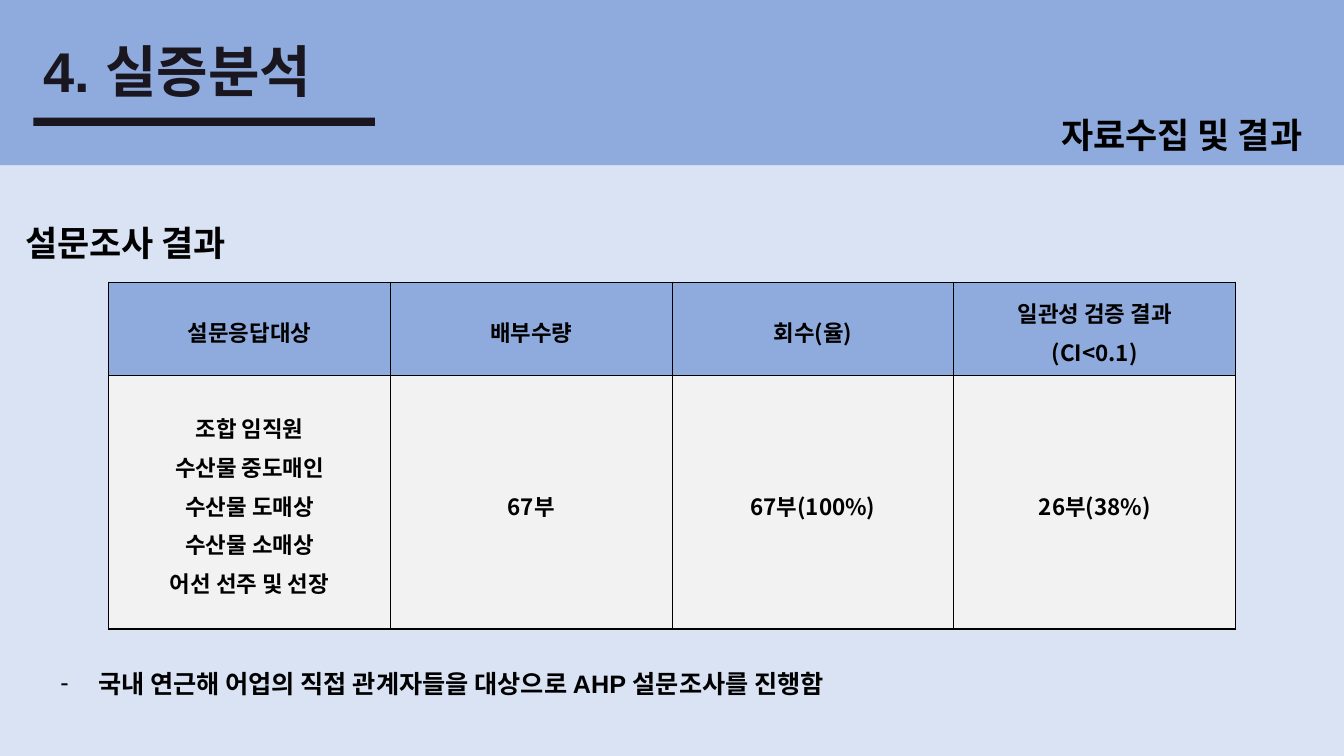
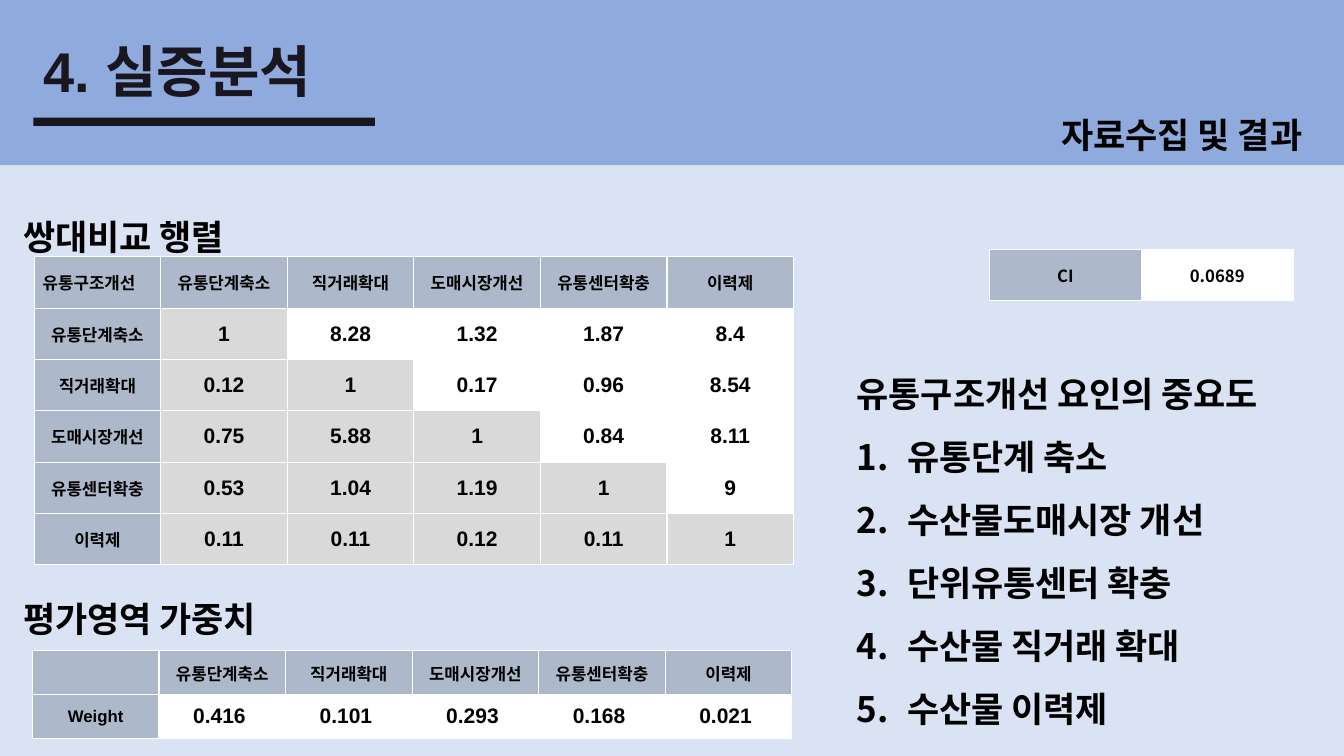
from lxml import etree
from pptx import Presentation
from pptx.dml.color import RGBColor
from pptx.enum.shapes import MSO_SHAPE
from pptx.enum.text import MSO_ANCHOR, MSO_AUTO_SIZE, PP_ALIGN
from pptx.oxml.ns import qn
from pptx.util import Pt

RECTANGLE = MSO_SHAPE.RECTANGLE
MIDDLE = MSO_ANCHOR.MIDDLE
FIT_TEXT = MSO_AUTO_SIZE.SHAPE_TO_FIT_TEXT
CENTER = PP_ALIGN.CENTER
JUSTIFY = PP_ALIGN.JUSTIFY

PALE_BLUE = RGBColor(0xDA, 0xE3, 0xF3)
BLUE = RGBColor(0x8F, 0xAA, 0xDC)
INK = RGBColor(0x19, 0x16, 0x1F)
BLACK = RGBColor(0, 0, 0)
WHITE = RGBColor(0xFF, 0xFF, 0xFF)
LIGHT_GRAY = RGBColor(0xF2, 0xF2, 0xF2)
GRAY = RGBColor(0xD9, 0xD9, 0xD9)
SLATE = RGBColor(0xAD, 0xB9, 0xCA)

LATIN = "Arial"
KOREAN = "Noto Sans CJK KR"
FACTORS = ["유통단계축소", "직거래확대", "도매시장개선", "유통센터확충", "이력제"]


def add_text(frame, text, size, color=BLACK, font=LATIN, spacing=1.0, align=None):
    frame.text = text
    for paragraph in frame.paragraphs:
        paragraph.line_spacing = spacing
        paragraph.alignment = align
        for run in paragraph.runs:
            run.font.size = Pt(size)
            run.font.bold = True
            run.font.name = font
            run.font.color.rgb = color
            east_asian = etree.SubElement(run.font._element, qn("a:ea"))
            east_asian.set("typeface", KOREAN)


def add_grid(slide, left, top, column_width, row_heights, rows, style,
             border=WHITE, font=LATIN, margins=(0, 0), spacing=1.0):
    column_count = len(rows[0])
    table = slide.shapes.add_table(
        len(rows), column_count, Pt(left), Pt(top),
        Pt(column_width * column_count), Pt(sum(row_heights))).table
    for column in table.columns:
        column.width = Pt(column_width)
    for row_index, texts in enumerate(rows):
        table.rows[row_index].height = Pt(row_heights[row_index])
        for column_index, text in enumerate(texts):
            cell = table.cell(row_index, column_index)
            fill, size = style(row_index, column_index)
            cell.vertical_anchor = MIDDLE
            cell.margin_left = cell.margin_right = Pt(margins[0])
            cell.margin_top = cell.margin_bottom = Pt(margins[1])
            add_text(cell.text_frame, text, size, BLACK, font, spacing, CENTER)
            properties = cell._tc.get_or_add_tcPr()
            for side in ("a:lnL", "a:lnR", "a:lnT", "a:lnB"):
                line = etree.SubElement(properties, qn(side), w=str(Pt(1)))
                solid = etree.SubElement(line, qn("a:solidFill"))
                etree.SubElement(solid, qn("a:srgbClr"), val=str(border))
            cell.fill.solid()
            cell.fill.fore_color.rgb = fill


presentation = Presentation()
presentation.slide_width = Pt(960)
presentation.slide_height = Pt(540)
blank_layout = presentation.slide_layouts[6]

HEADINGS = [
    [("설문조사 결과", 10.8, 139.7, 175)],
    [("쌍대비교 행렬", 9.4, 135.4, 175), ("평가영역 가중치", 9.4, 408.2, 200)],
]
slides = []
for headings in HEADINGS:
    slide = presentation.slides.add_slide(blank_layout)
    slide.background.fill.solid()
    slide.background.fill.fore_color.rgb = PALE_BLUE
    bars = [(0, 0, 960, 118, BLUE), (23.8, 84, 244, 6, INK)]
    for left, top, width, height, color in bars:
        bar = slide.shapes.add_shape(RECTANGLE, Pt(left), Pt(top), Pt(width), Pt(height))
        bar.shadow.inherit = False
        bar.fill.solid()
        bar.fill.fore_color.rgb = color
        bar.line.fill.background()
    labels = [("4. 실증분석", 23.8, 22.3, 224.6, 55.4, 40, INK, 1.0),
              ("자료수집 및 결과", 751, 62.6, 209, 46.8, 25, BLACK, 1.5)]
    for text, left, top, width in headings:
        labels.append((text, left, top, width, 46.8, 25, BLACK, 1.5))
    for text, left, top, width, height, size, color, spacing in labels:
        box = slide.shapes.add_textbox(Pt(left), Pt(top), Pt(width), Pt(height))
        box.text_frame.word_wrap = False
        box.text_frame.auto_size = FIT_TEXT
        add_text(box.text_frame, text, size, color, spacing=spacing)
    slides.append(slide)

survey_slide, matrix_slide = slides

survey_rows = [
    ["설문응답대상", "배부수량", "회수(율)", "일관성 검증 결과\n(CI<0.1)"],
    ["조합 임직원\n수산물 중도매인\n수산물 도매상\n수산물 소매상\n어선 선주 및 선장",
     "67부", "67부(100%)", "26부(38%)"],
]
add_grid(survey_slide, 77.6, 201.6, 201.25, [66.5, 181.3], survey_rows,
         lambda row, column: (LIGHT_GRAY if row else BLUE, 16),
         border=BLACK, font=KOREAN, margins=(5, 1.4), spacing=1.2)

note = survey_slide.shapes.add_textbox(Pt(36), Pt(465), Pt(670), Pt(34))
note.text_frame.word_wrap = True
note.text_frame.auto_size = FIT_TEXT
add_text(note.text_frame, "국내 연근해 어업의 직접 관계자들을 대상으로 AHP 설문조사를 진행함",
         18, spacing=1.4, align=JUSTIFY)

ranking = matrix_slide.shapes.add_textbox(Pt(604.8), Pt(247.7), Pt(334.8), Pt(274.3))
ranking.text_frame.word_wrap = False
ranking.text_frame.auto_size = FIT_TEXT
ranking_lines = ["유통구조개선 요인의 중요도", "유통단계 축소", "수산물도매시장 개선",
                 "단위유통센터 확충", "수산물 직거래 확대", "수산물 이력제"]
add_text(ranking.text_frame, "\n".join(ranking_lines), 25, spacing=1.5)

bulleted = [(note.text_frame.paragraphs[0], 27, LATIN, "a:buChar", {"char": "-"})]
for paragraph in ranking.text_frame.paragraphs[1:]:
    bulleted.append((paragraph, 36, KOREAN, "a:buAutoNum", {"type": "arabicPeriod"}))
for paragraph, indent, font, tag, attributes in bulleted:
    properties = paragraph._p.get_or_add_pPr()
    properties.set("marL", str(Pt(indent)))
    properties.set("indent", str(Pt(-indent)))
    etree.SubElement(properties, qn("a:buFont"), typeface=font)
    etree.SubElement(properties, qn(tag), attributes)

weight_rows = [
    ["", *FACTORS],
    ["Weight", "0.416 ", "0.101 ", "0.293 ", "0.168 ", "0.021 "],
]
add_grid(matrix_slide, 23.2, 464.8, 90.4, [31.4] * 2, weight_rows,
         lambda row, column: (WHITE, 15) if row and column else (SLATE, 12))

comparisons = [
    ["1", "8.28", "1.32", "1.87", "8.4"],
    ["0.12", "1", "0.17", "0.96", "8.54"],
    ["0.75", "5.88", "1", "0.84", "8.11"],
    ["0.53", "1.04", "1.19", "1", "9"],
    ["0.11", "0.11", "0.12", "0.11", "1"],
]
matrix_rows = [["유통구조개선　", *FACTORS]]
for factor, values in zip(FACTORS, comparisons):
    matrix_rows.append([factor, *values])
add_grid(matrix_slide, 24.4, 183.4, 90.4, [36.7] * 6, matrix_rows,
         lambda row, column: (GRAY if column <= row else WHITE, 15)
         if row and column else (SLATE, 12))

add_grid(matrix_slide, 706.8, 178.4, 108.5, [36.5], [["CI", "0.0689"]],
         lambda row, column: (WHITE if column else SLATE, 12), font=KOREAN)

presentation.save("out.pptx")
